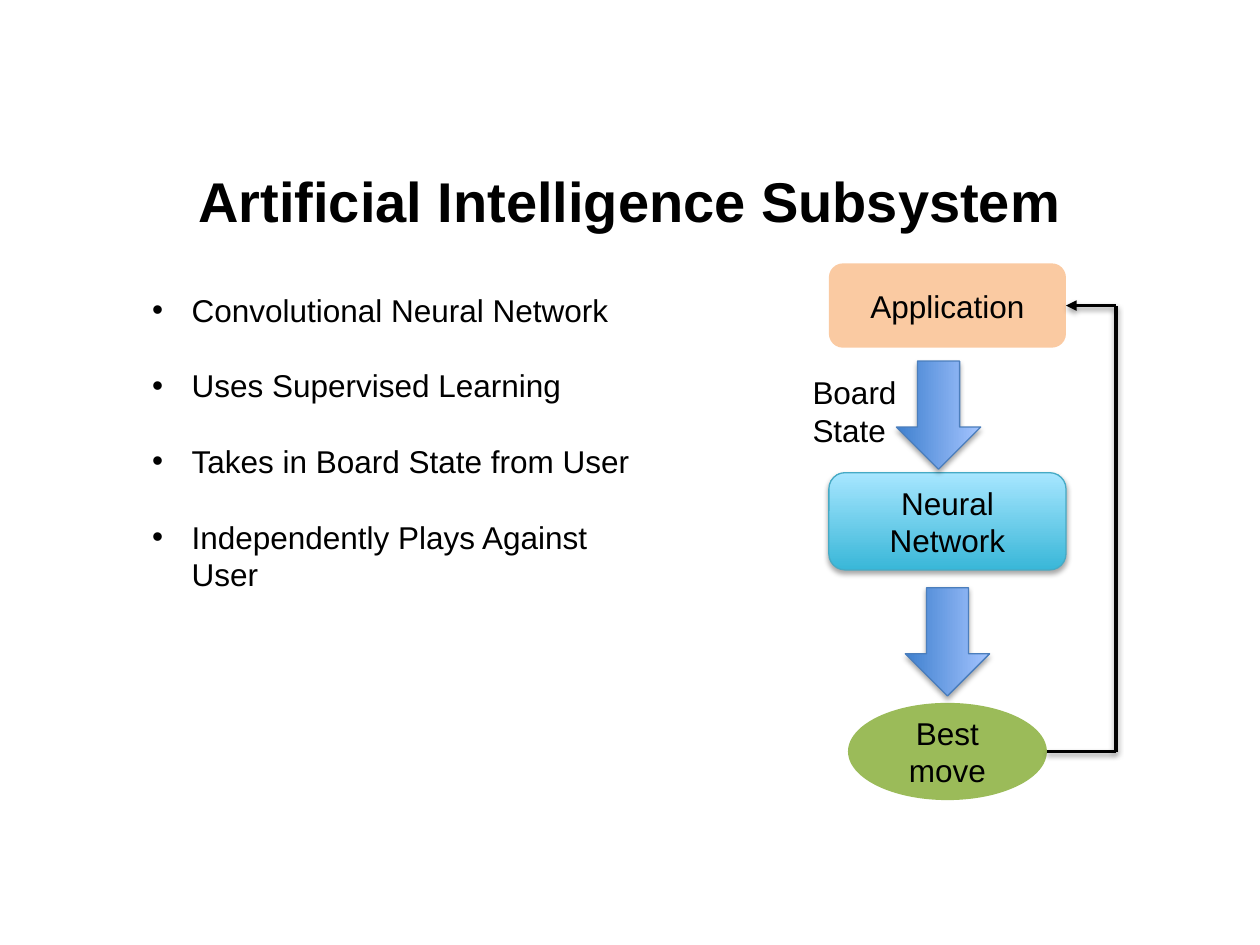
from pptx import Presentation
from pptx import util as u
from pptx.dml.color import RGBColor
from pptx.enum import shapes, text
from pptx.oxml import ns, parse_xml

# Content
TITLE = "Artificial Intelligence Subsystem"
BULLETS = [
    "Convolutional Neural Network",
    "Uses Supervised Learning",
    "Takes in Board State from User",
    "Independently Plays Against User",
]
COLORS = {
    "black": "000000", "application": "F79646", "move": "9BBB59",
    "network_low": "39B7D8", "network_high": "A7E6FF", "network_line": "46AAC5",
    "arrow_low": "3F80CE", "arrow_high": "A4C4FF", "arrow_line": "4B7EBC",
}
# Centre of the flow column, then name: label, preset, top, width, height
FLOW_CENTER = 19.1
NODES = {
    "network": ("Neural Network", shapes.MSO_SHAPE.ROUNDED_RECTANGLE, 9.53, 4.78, 1.96),
    "application": ("Application", shapes.MSO_SHAPE.ROUNDED_RECTANGLE, 5.31, 4.78, 1.7),
    "move": ("Best move", shapes.MSO_SHAPE.OVAL, 14.17, 4.01, 1.96),
}
ARROW_CENTERS = [(18.92, 8.37), (FLOW_CENTER, 12.94)]
ARROW_SIZE = (2.18, 1.7)
RETURN_X = 22.5

presentation = Presentation()
presentation.slide_width, presentation.slide_height = u.Cm(25.4), u.Cm(19.05)
slide = presentation.slides.add_slide(presentation.slide_layouts[6])


def color(name):
    return RGBColor.from_string(COLORS[name])


def add_element(parent, xml):
    """Append a DrawingML element and return it."""
    head, rest = xml.split(" ", 1)
    element = parse_xml(f"{head} {ns.nsdecls('a')} {rest}")
    parent.append(element)
    return element


def add_shadow(shape, alpha, distance):
    properties = shape._element.spPr
    effects = properties.find(ns.qn("a:effectLst"))
    if effects is None:
        effects = add_element(properties, "<a:effectLst />")
    add_element(effects, f'<a:outerShdw blurRad="40000" dist="{distance}" dir="5400000" rotWithShape="0">'
                f'<a:srgbClr val="{COLORS["black"]}"><a:alpha val="{alpha}000"/></a:srgbClr></a:outerShdw>')


def write(paragraph, content, size=18, bold=False):
    run = paragraph.add_run()
    run.text = content
    run.font.name, run.font.size, run.font.bold = "Arial", u.Pt(size), bold
    run.font.color.rgb = color("black")


def add_text_box(left, top, width, height):
    frame = slide.shapes.add_textbox(u.Cm(left), u.Cm(top), u.Cm(width), u.Cm(height)).text_frame
    frame.word_wrap = True
    return frame


def add_shape(preset, center_x, top, width, height):
    shape = slide.shapes.add_shape(preset, u.Cm(center_x - width / 2), u.Cm(top), u.Cm(width), u.Cm(height))
    shape.shadow.inherit = False
    shape.line.fill.background()
    return shape


def style_gradient(shape, name):
    shape.fill.gradient()
    shape.fill.gradient_angle = 90
    for stop, end, position in zip(shape.fill.gradient_stops, ("low", "high"), (0, 1)):
        stop.color.rgb = color(f"{name}_{end}")
        stop.position = position
    shape.line.color.rgb = color(f"{name}_line")
    shape.line.width = u.Pt(0.75)
    add_shadow(shape, 35, 23000)


# Title
frame = add_text_box(1.27, 2.92, 22.86, 2.24)
frame.vertical_anchor = text.MSO_ANCHOR.MIDDLE
frame.paragraphs[0].alignment = text.PP_ALIGN.CENTER
write(frame.paragraphs[0], TITLE, 32, True)

# Bullet list, one blank line's height between items
frame = add_text_box(2.82, 5.74, 10.31, 7.19)
for index, item in enumerate(BULLETS):
    paragraph = frame.add_paragraph() if index else frame.paragraphs[0]
    if index:
        paragraph.space_before = u.Pt(21.6)
    properties = paragraph._p.get_or_add_pPr()
    properties.set("marL", "285750")
    properties.set("indent", "-285750")
    add_element(properties, '<a:buFont typeface="Arial"/>')
    add_element(properties, '<a:buChar char="•"/>')
    write(paragraph, item)

# Flow nodes
nodes = {}
for name, (label, preset, top, width, height) in NODES.items():
    node = nodes[name] = add_shape(preset, FLOW_CENTER, top, width, height)
    if name == "network":
        style_gradient(node, name)
    else:
        node.fill.solid()
        node.fill.fore_color.rgb = color(name)
    node.text_frame.vertical_anchor = text.MSO_ANCHOR.MIDDLE
    node.text_frame.paragraphs[0].alignment = text.PP_ALIGN.CENTER
    write(node.text_frame.paragraphs[0], label)

# The application box is half transparent
fill_color = nodes["application"]._element.spPr.find(ns.qn("a:solidFill"))[0]
add_element(fill_color, '<a:alpha val="50000"/>')

# Block arrows pointing down
for center_x, center_y in ARROW_CENTERS:
    width, height = ARROW_SIZE
    arrow = add_shape(shapes.MSO_SHAPE.RIGHT_ARROW, center_x, center_y - height / 2, width, height)
    arrow.rotation = 90
    style_gradient(arrow, "arrow")

# Return path from the best move to the application
application, move = nodes["application"], nodes["move"]
start_y = move.top + move.height // 2
end_y = application.top + application.height // 2
route = [
    (move.left + move.width, start_y),
    (u.Cm(RETURN_X), start_y),
    (u.Cm(RETURN_X), end_y),
    (application.left + application.width, end_y),
]
for start, end in zip(route, route[1:]):
    line = slide.shapes.add_connector(shapes.MSO_CONNECTOR.STRAIGHT, *start, *end)
    line.line.color.rgb = color("black")
    line.line.width = u.Pt(2)
    if end == route[-1]:
        line.end_connect(application, 3)
        add_element(line._element.spPr.find(ns.qn("a:ln")), '<a:tailEnd type="triangle"/>')
    add_shadow(line, 38, 20000)

# Label beside the first arrow
write(add_text_box(16.13, 7.39, 2.49, 1.8).paragraphs[0], "Board State")

presentation.save("out.pptx")
